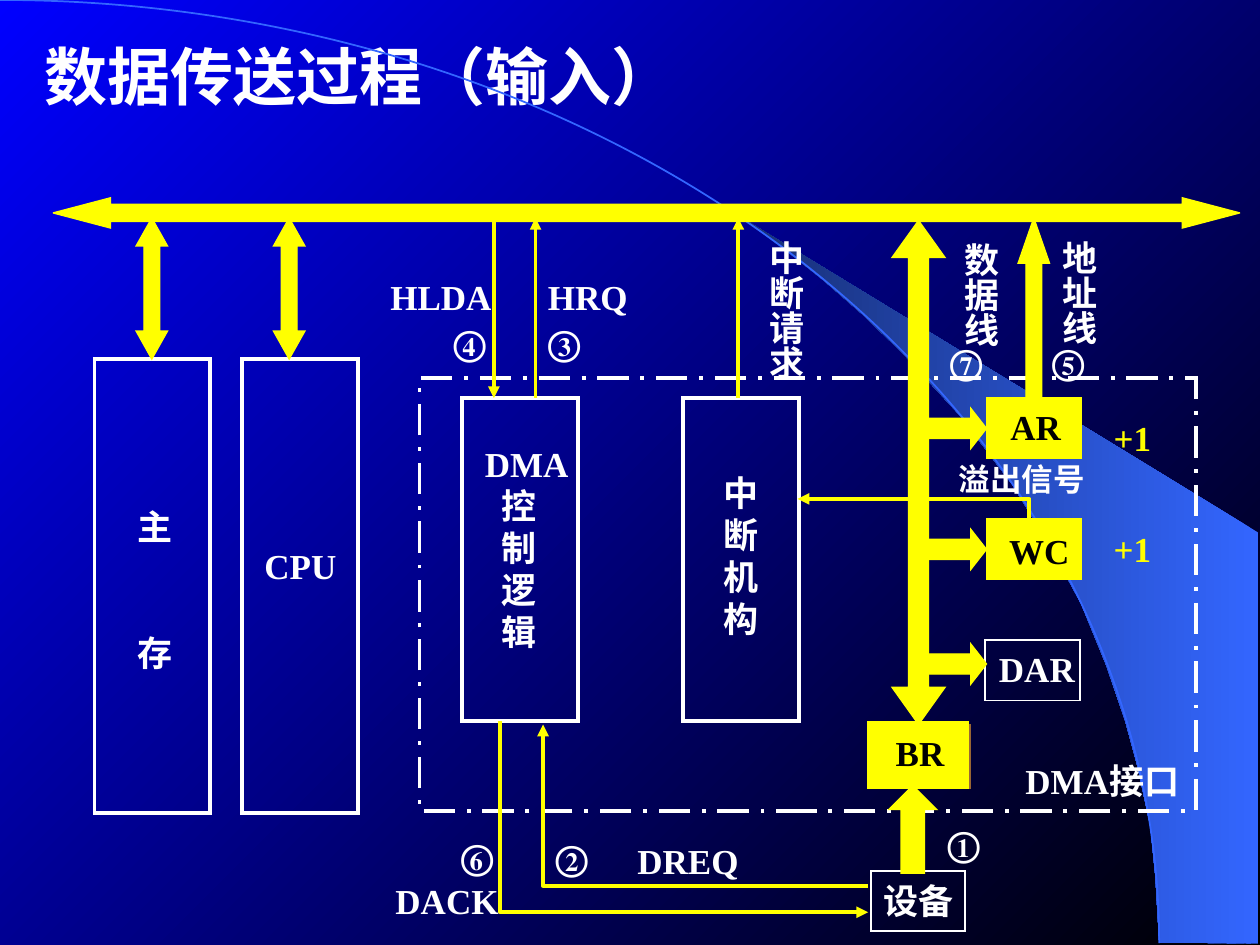
import pptx
import pptx.dml.color
import pptx.enum.dml
import pptx.enum.shapes
import pptx.enum.text
import pptx.oxml
import pptx.oxml.ns
import pptx.util

Inches = pptx.util.Inches
Pt = pptx.util.Pt
SHAPE = pptx.enum.shapes.MSO_SHAPE
qn = pptx.oxml.ns.qn
namespace = pptx.oxml.ns.nsdecls("a")

COLORS = {
    name: pptx.dml.color.RGBColor.from_string(value)
    for name, value in {
        "white": "FFFFFF", "black": "000000", "yellow": "FFFF00", "blue": "0000FF",
        "arc": "3366FF", "band": "172F75", "brown": "996633",
    }.items()
}

deck = pptx.Presentation()
deck.slide_width = Inches(10)
deck.slide_height = Inches(7.5)
page = deck.slides.add_slide(deck.slide_layouts[5])


def add_block(kind, place, fill=None, line="white", width=0.75, adjust=()):
    block = page.shapes.add_shape(kind, *[Inches(value) for value in place])
    block.shadow.inherit = False
    if fill:
        block.fill.solid()
        block.fill.fore_color.rgb = COLORS[fill]
    else:
        block.fill.background()
    block.line.color.rgb = COLORS[line]
    block.line.width = Pt(width)
    outline = block._element.spPr.find(qn("a:ln"))
    outline.append(pptx.oxml.parse_xml(f'<a:miter {namespace} lim="800000"/>'))
    for index, value in enumerate(adjust):
        block.adjustments[index] = value
    if adjust:
        for number, guide in enumerate(block._element.iter(qn("a:gd")), 1):
            guide.set("name", f"adj{number}")
    return block


def write_text(box, text, color="white", size=20):
    frame = box.text_frame
    frame.text = text
    frame.word_wrap = True
    frame.margin_right = 0
    for para in frame.paragraphs:
        para.alignment = pptx.enum.text.PP_ALIGN.LEFT
        for span in para.runs:
            span.font.name = "Times New Roman"
            span.font.size = Pt(size)
            span.font.bold = True
            span.font.color.rgb = COLORS[color]
    return frame


band_points = [
    (9.2, 7.48), (9.99, 7.49), (9.99, 4.23), (5.89, 1.73), (6.24, 1.99), (6.53, 2.22),
    (6.85, 2.5), (7.16, 2.8), (7.62, 3.3), (8.03, 3.84), (8.32, 4.31), (8.58, 4.79),
    (8.78, 5.28), (8.93, 5.72), (9.03, 6.09), (9.13, 6.56), (9.17, 6.96),
]
band_points = [(Inches(x), Inches(y)) for x, y in band_points]
builder = page.shapes.build_freeform(*band_points[0])
builder.add_line_segments(band_points[1:], close=True)
band = builder.convert_to_shape()
band.shadow.inherit = False
band.line.fill.background()

for fill, angle, names in (
    (page.background.fill, 135, ("black", "blue")),
    (band.fill, 180, ("arc", "band")),
):
    fill.gradient()
    fill.gradient_angle = angle
    for stop, name in zip(fill.gradient_stops, names):
        stop.color.rgb = COLORS[name]

add_block(SHAPE.ARC, (-9.2, 0, 18.4, 14.97), line="arc", width=1)

title = page.shapes.title
title.left, title.top = Inches(0.25), Inches(0.25)
title.width, title.height = Inches(6.83), Inches(0.7)
write_text(title, "数据传送过程（输入）", size=36)

for left, top, height in ((0.75, 2.85, 3.6), (1.92, 2.85, 3.6), (3.67, 3.16, 2.56), (5.42, 3.16, 2.56)):
    add_block(SHAPE.RECTANGLE, (left, top, 0.92, height), width=2.25)
for left, top in ((6.91, 6.91), (7.82, 5.08)):
    add_block(SHAPE.RECTANGLE, (left, top, 0.75, 0.48), width=1)
interface = add_block(SHAPE.RECTANGLE, (3.33, 3, 6.16, 3.44), width=2.25)
interface.line.dash_style = pptx.enum.dml.MSO_LINE.LONG_DASH_DOT

block_arrows = [
    (SHAPE.LEFT_RIGHT_ARROW, (0.42, 1.57, 9.42, 0.24), 0.75, (0.57, 1.9)),
    (SHAPE.UP_DOWN_ARROW, (7.08, 1.75, 0.42, 4), 0.75, (0.38, 0.7)),
    (SHAPE.UP_ARROW, (8.08, 1.73, 0.25, 1.44), 0.75, (0.5, 1.44)),
    (SHAPE.UP_ARROW, (7.08, 6.25, 0.33, 0.67), 2.25, (0.5, 0.5)),
]
for top in (3.24, 4.2, 5.11):
    block_arrows.append((SHAPE.RIGHT_ARROW, (7.33, top, 0.5, 0.32), 0.75, (0.5, 0.39)))
for left in (1.08, 2.17):
    block_arrows.append((SHAPE.UP_DOWN_ARROW, (left, 1.73, 0.25, 1.12), 0.75, (0.5, 0.89)))
for kind, place, width, adjust in block_arrows:
    add_block(kind, place, "yellow", "yellow", width, adjust)

signal_routes = [
    [(4.25, 3.16), (4.25, 1.73)],
    [(3.92, 1.73), (3.92, 3.16)],
    [(5.86, 3.16), (5.86, 1.73)],
    [(6.89, 7.03), (4.31, 7.03), (4.31, 5.75)],
    [(3.97, 5.72), (3.97, 7.24), (6.89, 7.24)],
    [(8.17, 4.12), (8.17, 3.96), (6.33, 3.96)],
]
for route in signal_routes:
    points = [(Inches(x), Inches(y)) for x, y in route]
    if len(points) == 2:
        signal = page.shapes.add_connector(
            pptx.enum.shapes.MSO_CONNECTOR.STRAIGHT, *points[0], *points[1])
    else:
        builder = page.shapes.build_freeform(*points[0])
        builder.add_line_segments(points[1:], close=False)
        signal = builder.convert_to_shape()
        signal.fill.background()
    signal.line.color.rgb = COLORS["yellow"]
    signal.line.width = Pt(2.25)
    outline = signal._element.spPr.find(qn("a:ln"))
    outline.append(pptx.oxml.parse_xml(f'<a:tailEnd {namespace} type="triangle"/>'))
    outline.addnext(pptx.oxml.parse_xml(f"<a:effectLst {namespace}/>"))

for top in (3.16, 4.12):
    add_block(SHAPE.RECTANGLE, (7.83, top, 0.75, 0.48), "yellow", "yellow")
add_block(SHAPE.RECTANGLE, (6.91, 5.75, 0.79, 0.51), "brown", "brown")
add_block(SHAPE.RECTANGLE, (6.91, 5.75, 0.75, 0.48), "yellow", "yellow", 4.5)

labels = [
    ("设备", 6.91, 6.93, 0.75, "white", 20),
    ("DAR", 7.83, 5.09, 0.8, "white", 20),
    ("DMA接口", 8.04, 5.98, 1.49, "white", 20),
    ("CPU", 2, 4.27, 0.77, "white", 20),
    ("DREQ", 4.96, 6.61, 1, "white", 20),
    ("HRQ", 4.25, 2.14, 0.83, "white", 20),
    ("HLDA", 3, 2.14, 1, "white", 20),
    ("DACK", 3.04, 6.93, 1.02, "white", 20),
    ("①", 7.42, 6.48, 0.48, "white", 20),
    ("②", 4.31, 6.59, 0.48, "white", 20),
    ("③", 4.25, 2.5, 0.48, "white", 20),
    ("④", 3.5, 2.5, 0.48, "white", 20),
    ("⑤", 8.25, 2.65, 0.48, "white", 20),
    ("⑥", 3.56, 6.58, 0.48, "white", 20),
    ("⑦", 7.44, 2.65, 0.48, "white", 20),
    ("溢出信号", 7.51, 3.6, 1.2, "white", 18),
    ("AR", 7.92, 3.17, 0.6, "black", 20),
    ("WC", 7.91, 4.15, 0.68, "black", 20),
    ("BR", 7.01, 5.76, 0.58, "black", 20),
    ("+1", 8.74, 3.26, 0.5, "yellow", 20),
    ("+1", 8.74, 4.14, 0.5, "yellow", 20),
]
for text, left, top, width, color, size in labels:
    height = 0.44 if size == 20 else 0.4
    box = page.shapes.add_textbox(Inches(left), Inches(top), Inches(width), Inches(height))
    write_text(box, text, color, size)

stacked_labels = [
    ("主\n存", 0.99, 3.96, 0.48, 1.44, 48, 0),
    ("DMA\n控\n制\n逻\n辑", 3.75, 3.46, 0.86, 1.77, 0, 0.13),
    ("中\n断\n机\n构", 5.64, 3.69, 0.48, 1.44, 0, 0),
]
for text, left, top, width, height, gap, indent in stacked_labels:
    box = page.shapes.add_textbox(Inches(left), Inches(top), Inches(width), Inches(height))
    frame = write_text(box, text)
    for para in frame.paragraphs[1:]:
        para.space_before = Pt(gap)
        para._p.get_or_add_pPr().set("marL", str(Inches(indent)))

for text, left, top, height in (
    ("地址线", 8.25, 1.81, 0.94),
    ("数据线", 7.47, 1.83, 0.94),
    ("中断请求", 5.92, 1.81, 1.22),
):
    box = page.shapes.add_textbox(Inches(left), Inches(top), Inches(0.53), Inches(height))
    frame = write_text(box, text)
    frame.word_wrap = False
    frame.margin_left = frame.margin_right = Inches(0.05)
    frame.margin_top = frame.margin_bottom = Inches(0.05)
    frame._txBody.bodyPr.set("vert", "eaVert")

deck.save("out.pptx")
